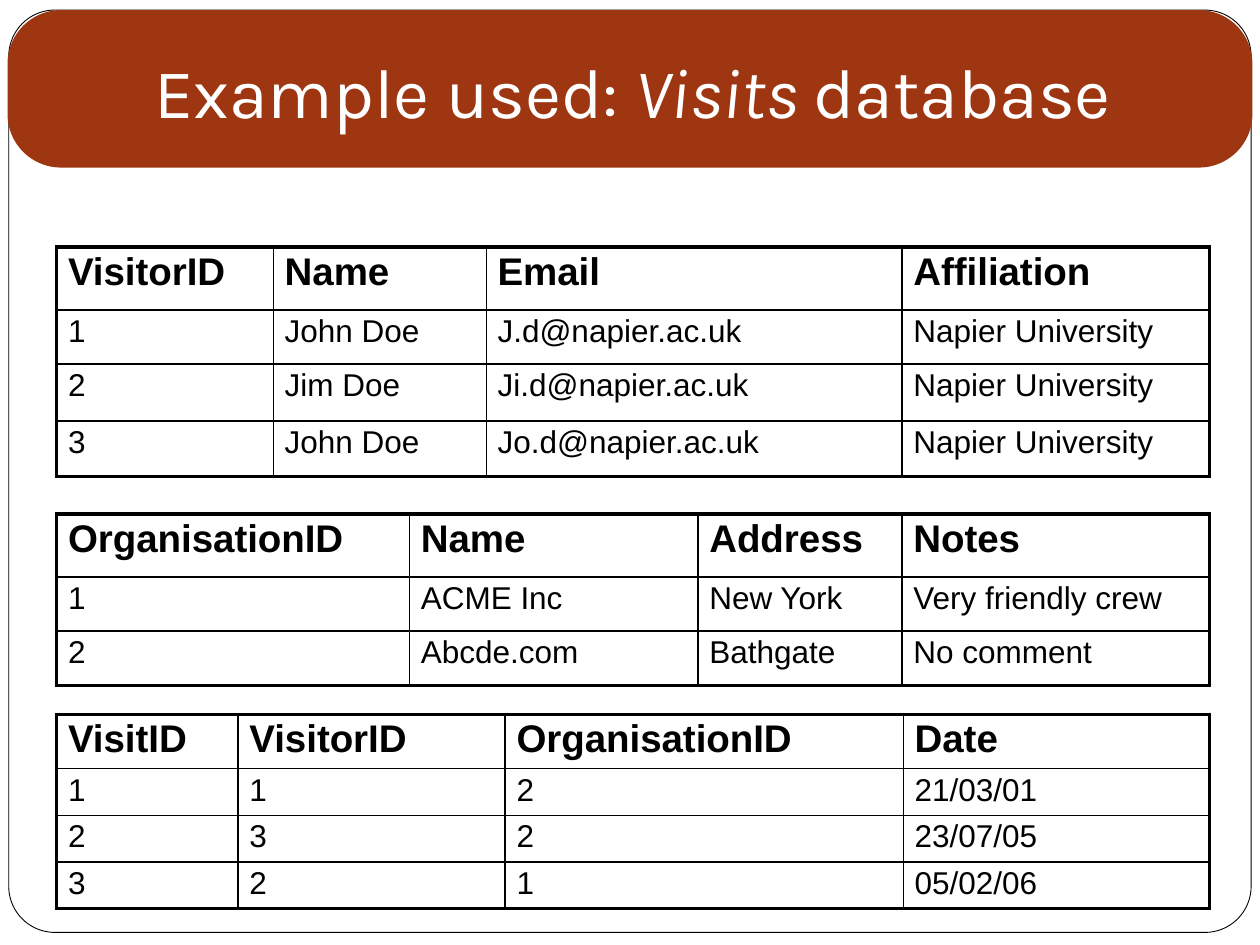
"""Build the slide that shows the three tables of the Visits database."""
from lxml import etree
from pptx import Presentation
from pptx.dml.color import RGBColor
from pptx.enum import shapes, text
from pptx.oxml.ns import qn
from pptx.util import Inches, Pt


def paint(part, tint):
    part.solid()
    part.fore_color.rgb = RGBColor.from_string(tint)


def write(para, words, size=18, face="Arial", tint="000000", bold=False, slant=False):
    run = para.add_run()
    run.text = words
    font = run.font
    font.size, font.name, font.bold, font.italic = Pt(size), face, bold, slant
    paint(font.fill, tint)


deck = Presentation()
deck.slide_width, deck.slide_height = Inches(10), Inches(7.5)
slide = deck.slides.add_slide(deck.slide_layouts[5])

panels = [
    ((0.07, 0.08, 9.86, 7.32), 0.05, "FFFFFF", "000000"),
    ((0.06, 0.08, 9.88, 1.25), 0.34, "9E3611", None),
]
for box, curve, fill, edge in panels:
    panel = slide.shapes.add_shape(
        shapes.MSO_SHAPE.ROUNDED_RECTANGLE, *[Inches(n) for n in box])
    panel.adjustments[0] = curve
    panel.shadow.inherit = False
    paint(panel.fill, fill)
    if edge:
        paint(panel.line.fill, edge)
        panel.line.width = Pt(0.5)
    else:
        panel.line.fill.background()

title = slide.shapes.title
title.element.getparent().append(title.element)
title.left, title.top = Inches(0.75), Inches(0.33)
title.width, title.height = Inches(8.54), Inches(0.82)
frame = title.text_frame
frame.word_wrap = True
frame.auto_size = text.MSO_AUTO_SIZE.SHAPE_TO_FIT_TEXT
frame.vertical_anchor = text.MSO_ANCHOR.MIDDLE
frame.margin_left = frame.margin_right = Inches(0.09)
frame.margin_top, frame.margin_bottom = Inches(0.05), Inches(0.1)
head = frame.paragraphs[0]
head.alignment = text.PP_ALIGN.CENTER
for words, slant in [("Example used: ", False), ("Visits ", True), ("database", False)]:
    write(head, words, size=40, face="Karla", tint="FFFFFF", slant=slant)

tables = [
    (1.96, [1.72, 1.69, 3.3, 2.44], [0.5, 0.43, 0.45, 0.44], [
        ["VisitorID", "Name", "Email", "Affiliation"],
        ["1", "John Doe", "J.d@napier.ac.uk", "Napier University"],
        ["2", "Jim Doe", "Ji.d@napier.ac.uk", "Napier University"],
        ["3", "John Doe", "Jo.d@napier.ac.uk", "Napier University"]]),
    (4.08, [2.8, 2.29, 1.62, 2.44], [0.5, 0.43, 0.43], [
        ["OrganisationID", "Name", "Address", "Notes"],
        ["1", "ACME Inc", "New York", "Very friendly crew"],
        ["2", "Abcde.com", "Bathgate", "No comment"]]),
    (5.67, [1.44, 2.12, 3.16, 2.43], [0.43, 0.37, 0.37, 0.37], [
        ["VisitID", "VisitorID", "OrganisationID", "Date"],
        ["1", "1", "2", "21/03/01"],
        ["2", "3", "2", "23/07/05"],
        ["3", "2", "1", "05/02/06"]]),
]
for top, wides, highs, rows in tables:
    grid = slide.shapes.add_table(
        len(rows), len(wides), Inches(0.45), Inches(top),
        Inches(sum(wides)), Inches(sum(highs))).table
    grid.first_row = grid.horz_banding = False
    for col, wide in zip(grid.columns, wides):
        col.width = Inches(wide)
    for row, high in zip(grid.rows, highs):
        row.height = Inches(high)
    for r, row in enumerate(rows):
        for c, words in enumerate(row):
            cell = grid.cell(r, c)
            cell.margin_left = cell.margin_right = Inches(0.09)
            cell.margin_top, cell.margin_bottom = Inches(0.05), Inches(0.04)
            para = cell.text_frame.paragraphs[0]
            para.line_spacing = 0.93
            props = para._p.get_or_add_pPr()
            props.set("marL", str(Inches(0.12)))
            props.set("indent", str(Inches(-0.12)))
            write(para, words, size=22 if r == 0 else 18, bold=r == 0)
            sides = {"L": c == 0, "R": c == len(wides) - 1,
                     "T": r == 0, "B": r == len(rows) - 1}
            for side, outer in sides.items():
                line = etree.SubElement(cell._tc.get_or_add_tcPr(), qn(f"a:ln{side}"),
                                        w=str(Pt(2.25 if outer else 1)))
                fill = etree.SubElement(line, qn("a:solidFill"))
                etree.SubElement(fill, qn("a:srgbClr"), val="000000")
            cell.fill.background()

deck.save("out.pptx")
